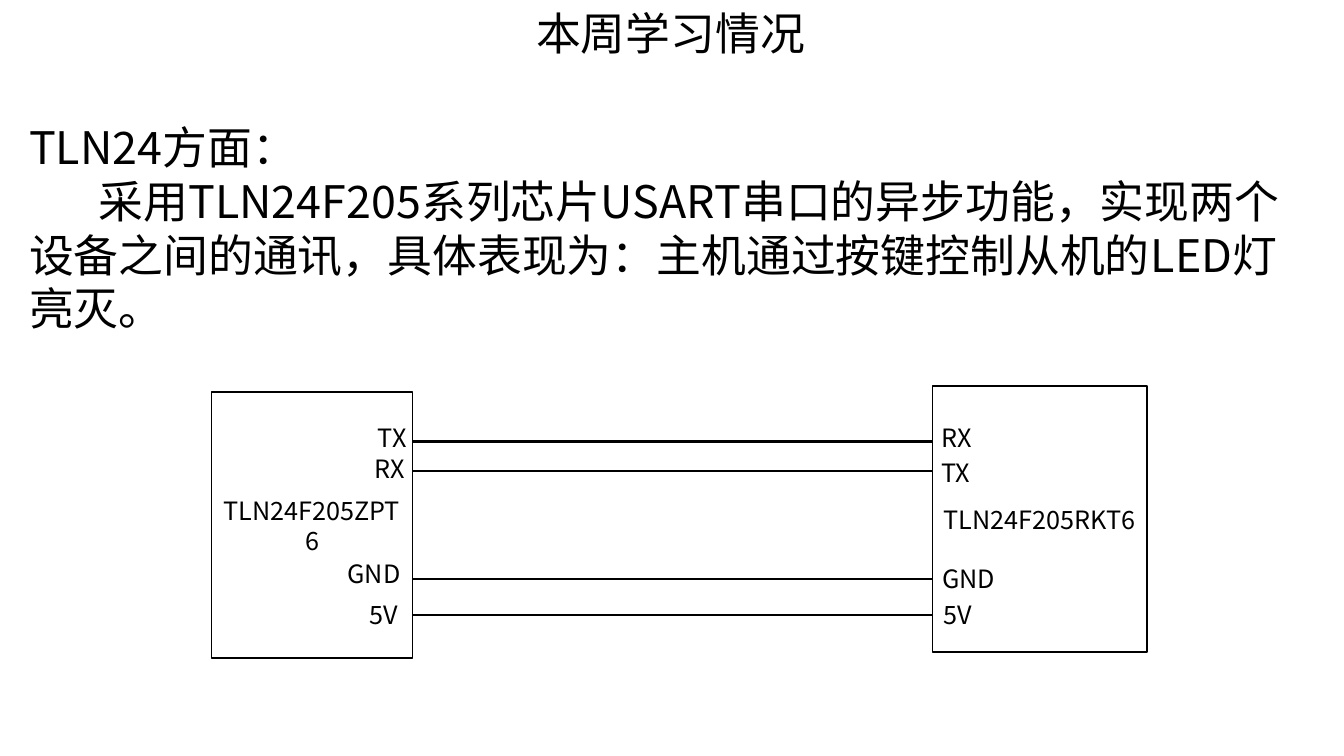
import pptx
import pptx.dml.color
import pptx.enum.shapes
import pptx.enum.text
import pptx.oxml.ns
import pptx.util
from lxml import etree

COLORS = {"ink": "000000", "paper": "FFFFFF"}
COLUMNS, ROWS = 133.33, 75


class WiringSlide:
    font_name = "Noto Sans CJK SC"
    heading_size = 32
    pin_size = 18

    def __init__(self, deck):
        self.column = deck.slide_width / COLUMNS
        self.row = deck.slide_height / ROWS
        self.slide = deck.slides.add_slide(deck.slide_layouts[6])
        self.shapes = self.slide.shapes
        background = self.slide.background.fill
        background.solid()
        background.fore_color.rgb = self.color("paper")

    def color(self, name):
        return pptx.dml.color.RGBColor.from_string(COLORS[name])

    def x(self, columns):
        return pptx.util.Emu(round(columns * self.column))

    def y(self, rows):
        return pptx.util.Emu(round(rows * self.row))

    def place(self, left, top, width, height):
        return self.x(left), self.y(top), self.x(width), self.y(height)

    def style(self, paragraph, size):
        font = paragraph.font
        font.size = pptx.util.Pt(size)
        font.name = self.font_name
        font.color.rgb = self.color("ink")
        for run in paragraph.runs:
            east_asian = etree.SubElement(run._r.get_or_add_rPr(), pptx.oxml.ns.qn("a:ea"))
            east_asian.set("typeface", self.font_name)

    def text(self, lines, left, top, width, height, size, last_indent=0):
        frame = self.shapes.add_textbox(*self.place(left, top, width, height)).text_frame
        frame.word_wrap = True
        frame.auto_size = pptx.enum.text.MSO_AUTO_SIZE.SHAPE_TO_FIT_TEXT
        frame.text = "\n".join(lines)
        if last_indent:
            properties = frame.paragraphs[-1]._p.get_or_add_pPr()
            properties.set("marL", "0")
            properties.set("indent", str(self.x(last_indent)))
        for paragraph in frame.paragraphs:
            self.style(paragraph, size)

    def chip(self, name, left, top, width, height):
        chip = self.shapes.add_shape(
            pptx.enum.shapes.MSO_SHAPE.RECTANGLE, *self.place(left, top, width, height))
        chip.shadow.inherit = False
        chip.fill.solid()
        chip.fill.fore_color.rgb = self.color("paper")
        chip.line.color.rgb = self.color("ink")
        chip.line.width = pptx.util.Pt(1)
        frame = chip.text_frame
        frame.word_wrap = True
        frame.vertical_anchor = pptx.enum.text.MSO_ANCHOR.MIDDLE
        frame.text = name
        frame.paragraphs[0].alignment = pptx.enum.text.PP_ALIGN.CENTER
        self.style(frame.paragraphs[0], self.pin_size)

    def wire(self, start, end, level):
        wire = self.shapes.add_connector(
            pptx.enum.shapes.MSO_CONNECTOR.STRAIGHT,
            self.x(start), self.y(level), self.x(end), self.y(level))
        wire.line.color.rgb = self.color("ink")
        wire.line.width = pptx.util.Pt(1.5)
        etree.SubElement(wire._element.spPr, pptx.oxml.ns.qn("a:effectLst"))

    def pin(self, name, left, top, width):
        self.text([name], left, top, width, 4, self.pin_size)


def main():
    deck = pptx.Presentation()
    deck.slide_width = pptx.util.Inches(13.33)
    deck.slide_height = pptx.util.Inches(7.5)
    weekly = WiringSlide(deck)

    weekly.text(["本周学习情况"], 52.2, 0.1, 29, 6.4, weekly.heading_size)
    weekly.text(
        ["TLN24方面：",
         "采用TLN24F205系列芯片USART串口的异步功能，实现两个设备之间的通讯，"
         "具体表现为：主机通过按键控制从机的LED灯亮灭。"],
        1.9, 11.4, 129.7, 22.6, weekly.heading_size, last_indent=6.9)

    host_left, host_width, device_left = 21, 19.9, 92.5
    host_edge = host_left + host_width
    weekly.chip("TLN24F205ZPT6", host_left, 38.9, host_width, 26.4)
    weekly.chip("TLN24F205RKT6", device_left, 38.3, 21.3, 26.4)

    links = [
        (43.8, ("TX", 36.5, 41.4, 7.3), ("RX", 92.4, 41.4, 7.3)),
        (46.7, ("RX", 36.2, 44.5, 7.3), ("TX", 92.4, 44.9, 7.3)),
        (57.4, ("GND", 33.5, 54.9, 7.3), ("GND", 92.5, 55.4, 7.9)),
        (61, ("5V", 35.7, 59, 5.1), ("5V", 92.6, 59, 5.1)),
    ]
    for level, host_pin, device_pin in links:
        weekly.wire(host_edge, device_left, level)
        weekly.pin(*host_pin)
        weekly.pin(*device_pin)

    deck.save("out.pptx")


if __name__ == "__main__":
    main()
